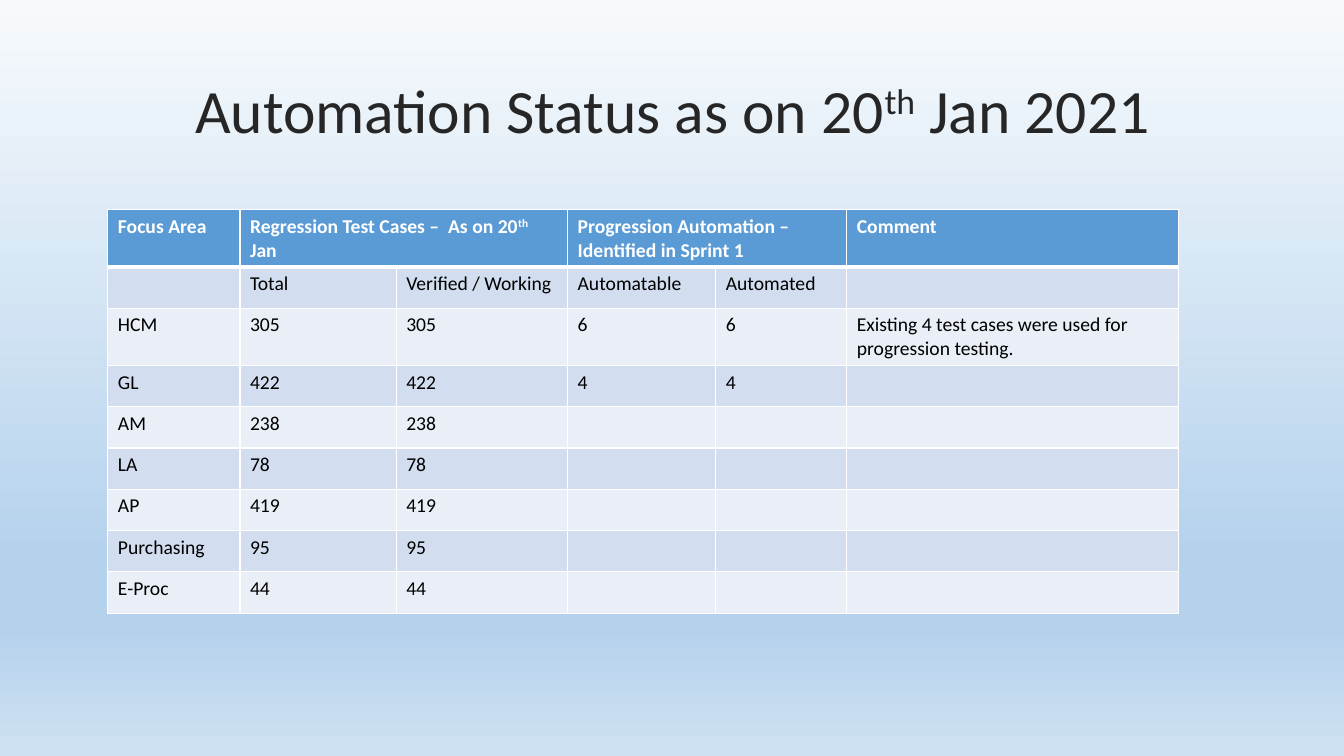
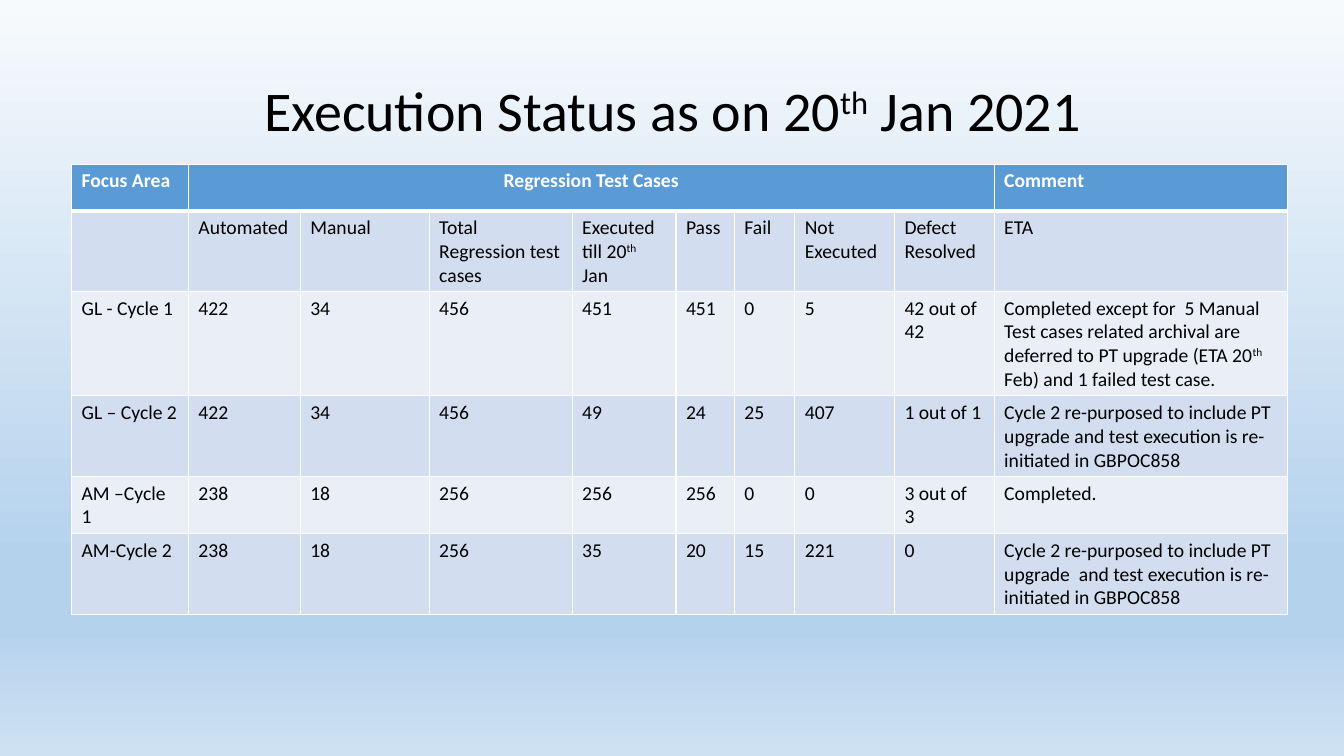
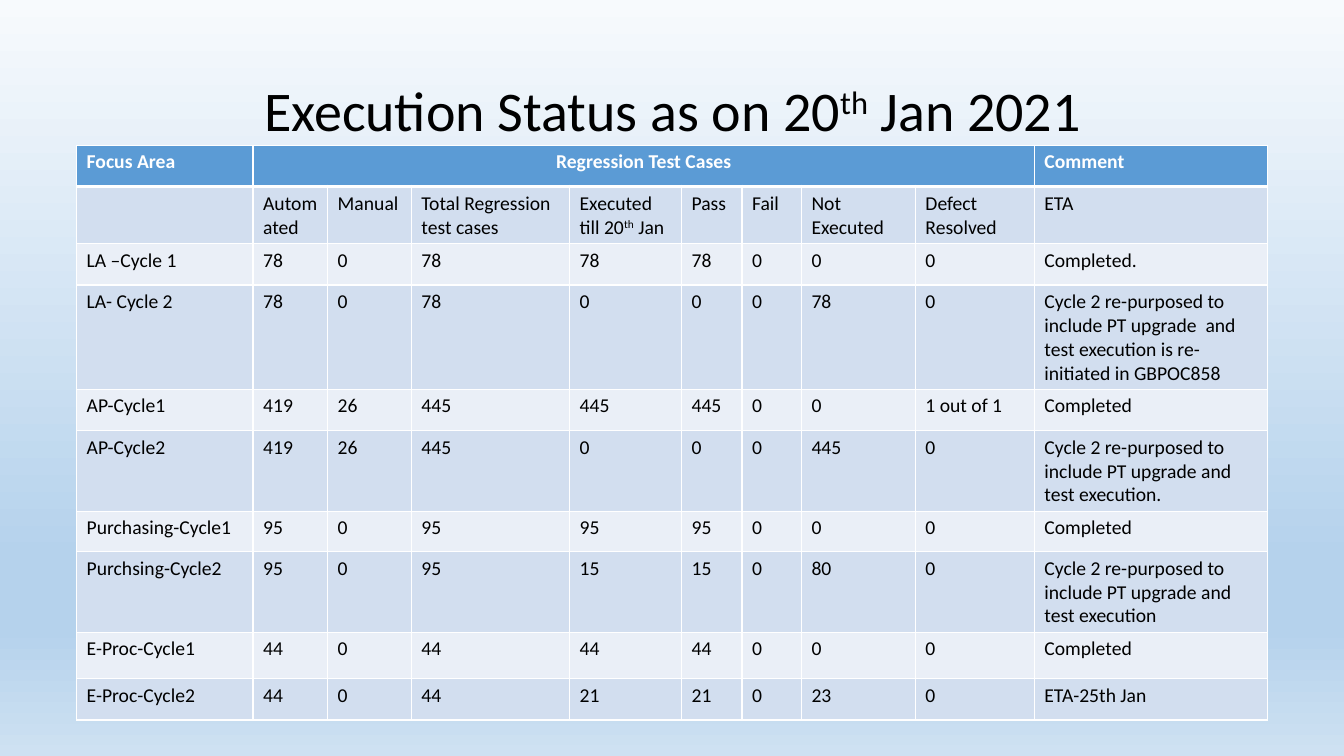
from lxml import etree
from pptx import Presentation
from pptx.dml.color import RGBColor
from pptx.enum.text import MSO_ANCHOR, PP_ALIGN
from pptx.oxml.ns import qn
from pptx.util import Inches, Pt

CENTER, LEFT = PP_ALIGN.CENTER, PP_ALIGN.LEFT
MIDDLE = MSO_ANCHOR.MIDDLE
FONT = "Calibri"
WIDE, HIGH = 13.33, 7.5
TITLE = (0.92, 0.4, 11.5, 1.45)
COLORS = {"head": "5B9BD5", "odd": "D2DEEF", "even": "EAEFF7",
          "white": "FFFFFF", "black": "000000", "dark": "262626"}
SKY = [(0, "F7FAFD"), (74, "B5D2EC"), (83, "B5D2EC"), (100, "CEE1F2")]

STATUS = [
    ["Focus Area", "Regression Test Cases –  As on 20^th^ Jan", "",
     "Progression Automation – Identified in Sprint 1", "", "Comment"],
    ["", "Total", "Verified / Working", "Automatable", "Automated", ""],
    ["HCM", "305", "305", "6", "6",
     "Existing 4 test cases were used for progression testing."],
    ["GL", "422", "422", "4", "4", ""],
    ["AM", "238", "238", "", "", ""],
    ["LA", "78", "78", "", "", ""],
    ["AP", "419", "419", "", "", ""],
    ["Purchasing", "95", "95", "", "", ""],
    ["E-Proc", "44", "44", "", "", ""],
]
HEADS = [
    ["Focus Area", "Regression Test Cases"] + [""] * 7 + ["Comment"],
    ["", "Automated", "Manual", "Total Regression test cases",
     "Executed till 20^th^ Jan", "Pass", "Fail", "Not Executed",
     "Defect Resolved", "ETA"],
]
AGAIN = "Cycle 2 re-purposed to include PT upgrade and test execution"
REDO = ("Cycle 2 re-purposed to include PT upgrade{} and test execution "
        "is re-initiated in GBPOC858")
FIRST = HEADS + [
    ["GL - Cycle 1", "422", "34", "456", "451", "451", "0", "5",
     "42 out of 42",
     "Completed except for  5 Manual Test cases related archival are "
     "deferred to PT upgrade (ETA 20^th^ Feb) and 1 failed test case."],
    ["GL – Cycle 2", "422", "34", "456", "49", "24", "25", "407",
     "1 out of 1", REDO.format("")],
    ["AM –Cycle 1", "238", "18", "256", "256", "256", "0", "0",
     "3 out of  3", "Completed."],
    ["AM-Cycle 2", "238", "18", "256", "35", "20", "15", "221", "0",
     REDO.format(" ")],
]
SECOND = HEADS + [
    ["LA –Cycle 1", "78", "0", "78", "78", "78", "0", "0", "0", "Completed."],
    ["LA- Cycle 2", "78", "0", "78", "0", "0", "0", "78", "0",
     REDO.format(" ")],
    ["AP-Cycle1", "419", "26", "445", "445", "445", "0", "0", "1 out of 1",
     "Completed"],
    ["AP-Cycle2", "419", "26", "445", "0", "0", "0", "445", "0", AGAIN + "."],
    ["Purchasing-Cycle1", "95", "0", "95", "95", "95", "0", "0", "0",
     "Completed"],
    ["Purchsing-Cycle2", "95", "0", "95", "15", "15", "0", "80", "0", AGAIN],
    ["E-Proc-Cycle1", "44", "0", "44", "44", "44", "0", "0", "0", "Completed"],
    ["E-Proc-Cycle2", "44", "0", "44", "21", "21", "0", "23", "0",
     "ETA-25th Jan"],
]


def rgb(name):
    """Return the named colour."""
    return RGBColor.from_string(COLORS[name])


def write(para, text, size, color, bold=False, align=LEFT):
    """Fill a paragraph, raising the parts between carets."""
    font = para.font
    font.name, font.size, font.bold = FONT, Pt(size), bold
    font.color.rgb = rgb(color)
    para.alignment = align
    for i, part in enumerate(text.split("^")):
        if part:
            run = para.add_run()
            run.text = part
            if i % 2:
                run._r.get_or_add_rPr().set("baseline", "30000")


def paint(master):
    """Give every slide the sky gradient."""
    fill = master.background.fill
    fill.gradient()
    fill.gradient_angle = 270
    stops = master.element.find(".//" + qn("a:gsLst"))
    for stop in list(stops):
        stops.remove(stop)
    for pos, color in SKY:
        stop = etree.SubElement(stops, qn("a:gs"), pos=str(pos * 1000))
        etree.SubElement(stop, qn("a:srgbClr"), val=color)


def edge(cell, top, bottom):
    """Draw white borders around a cell, widths in points."""
    props = cell._tc.get_or_add_tcPr()
    sides = {"L": 1, "R": 1, "T": top, "B": bottom}
    for i, (side, width) in enumerate(sides.items()):
        line = etree.Element(qn("a:ln" + side), w=str(Pt(width)))
        fill = etree.SubElement(line, qn("a:solidFill"))
        etree.SubElement(fill, qn("a:srgbClr"), val=COLORS["white"])
        props.insert(i, line)


def title(slide, box, text, size, color):
    """Place the centred slide title."""
    frame = slide.shapes.add_textbox(*map(Inches, box)).text_frame
    frame.word_wrap = True
    frame.vertical_anchor = MIDDLE
    para = frame.paragraphs[0]
    para.line_spacing = 0.9
    write(para, text, size, color, align=CENTER)


def grid(slide, box, data, cols, rows, spans):
    """Place a banded table whose columns and rows share the box."""
    table = slide.shapes.add_table(
        len(data), len(cols), *map(Inches, box)).table
    for lines, parts, full, side in (
            (table.columns, cols, box[2], "width"),
            (table.rows, rows, box[3], "height")):
        for line, part in zip(lines, parts):
            setattr(line, side, Inches(full * part / sum(parts)))
    for r, texts in enumerate(data):
        head = r == 0
        band = "head" if head else "odd" if r % 2 else "even"
        for c, text in enumerate(texts):
            cell = table.cell(r, c)
            cell.fill.solid()
            cell.fill.fore_color.rgb = rgb(band)
            edge(cell, 3 if r == 1 else 1, 3 if head else 1)
            wide = head and spans.get(c, 1) > 2
            write(cell.text_frame.paragraphs[0], text, 14,
                  "white" if head else "black", head,
                  CENTER if wide else LEFT)
    for c, count in spans.items():
        table.cell(0, c).merge(table.cell(0, c + count - 1))


def page(deck, head, *table):
    """Add a slide with a title and a table."""
    slide = deck.slides.add_slide(deck.slide_layouts[6])
    title(slide, TITLE, *head)
    grid(slide, *table)


def main():
    """Build the deck."""
    deck = Presentation()
    deck.slide_width, deck.slide_height = Inches(WIDE), Inches(HIGH)
    paint(deck.slide_master)
    page(deck, ("Automation Status as on 20^th^ Jan 2021", 44, "dark"),
         (1.07, 2.08, 10.62, 3.69), STATUS,
         [1.31, 1.55, 1.7, 1.47, 1.3, 3.29], [1] * 9, {1: 2, 3: 2})
    run = ("Execution Status as on 20^th^ Jan 2021", 40, "black")
    page(deck, run, (0.71, 1.63, 12.06, 3.26), FIRST,
         [1.16, 1.11, 1.28, 1.42, 1.03, 0.58, 0.6, 0.99, 0.99, 2.91],
         [0.46, 0.68, 0.68, 0.49, 0.46, 0.49], {1: 8})
    page(deck, run, (0.76, 1.44, 11.81, 4.14), SECOND,
         [1.75, 0.74, 0.83, 1.57, 1.11, 0.6, 0.59, 1.13, 1.18, 2.31],
         [0.41] * 6 + [0.4, 0.41, 0.46, 0.41], {1: 8})
    deck.save("out.pptx")


main()
